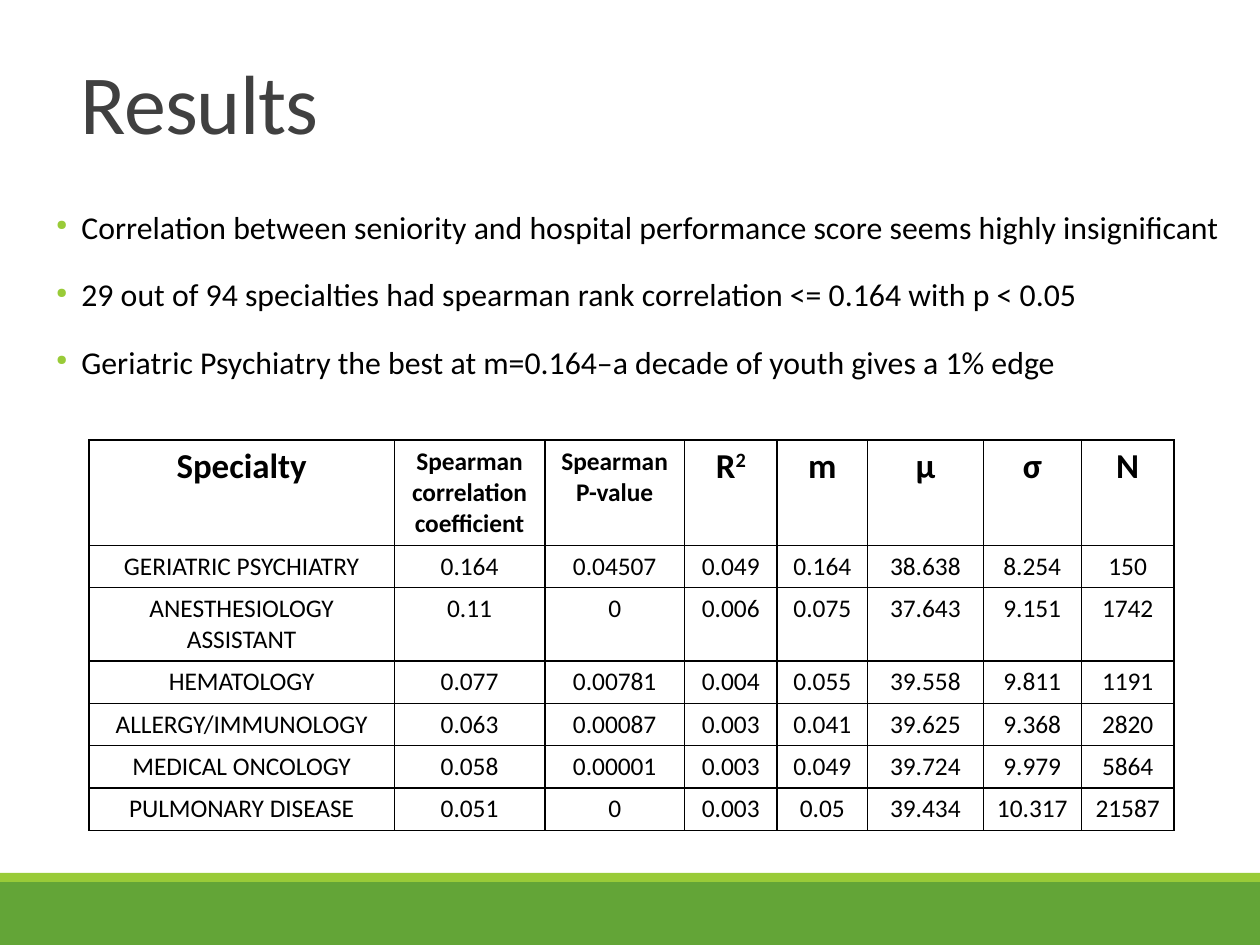
from lxml.etree import SubElement
from pptx import Presentation
from pptx.dml.color import RGBColor
from pptx.enum.shapes import MSO_SHAPE
from pptx.enum.text import MSO_ANCHOR, PP_ALIGN
from pptx.oxml.ns import qn
from pptx.util import Cm, Pt

FONT = "Calibri"
BLACK = RGBColor(0x00, 0x00, 0x00)
GREY = RGBColor(0x40, 0x40, 0x40)
GREEN = RGBColor(0x63, 0xA5, 0x37)
LIME = RGBColor(0x99, 0xCB, 0x38)

POINTS = [
    "Correlation between seniority and hospital performance score seems highly insignificant",
    "29 out of 94 specialties had spearman rank correlation <= 0.164 with p < 0.05",
    "Geriatric Psychiatry the best at m=0.164–a decade of youth gives a 1% edge",
]
HEADS = ["Specialty", "Spearman correlation coefficient", "Spearman\nP-value",
         "R", "m", "μ", "σ", "N"]
ROWS = [
    ["GERIATRIC PSYCHIATRY", "0.164", "0.04507", "0.049", "0.164", "38.638", "8.254", "150"],
    ["ANESTHESIOLOGY ASSISTANT", "0.11", "0", "0.006", "0.075", "37.643", "9.151", "1742"],
    ["HEMATOLOGY", "0.077", "0.00781", "0.004", "0.055", "39.558", "9.811", "1191"],
    ["ALLERGY/IMMUNOLOGY", "0.063", "0.00087", "0.003", "0.041", "39.625", "9.368", "2820"],
    ["MEDICAL ONCOLOGY", "0.058", "0.00001", "0.003", "0.049", "39.724", "9.979", "5864"],
    ["PULMONARY DISEASE", "0.051", "0", "0.003", "0.05", "39.434", "10.317", "21587"],
]
WIDTHS = [6.78, 3.35, 3.1, 2.06, 2.01, 2.57, 2.18, 2.06]
HEIGHTS = [2.34, 0.94, 1.63, 0.94, 0.94, 0.94, 0.94]


def style(para, size, color=BLACK, bold=False):
    font = para.font
    font.name, font.size, font.bold = FONT, Pt(size), bold
    font.color.rgb = color


def add_band(slide, top, height, color):
    band = slide.shapes.add_shape(MSO_SHAPE.RECTANGLE, 0, Cm(top), Cm(28), Cm(height))
    band.shadow.inherit = False
    band.fill.solid()
    band.fill.fore_color.rgb = color
    band.line.fill.background()


def add_box(slide, left, top, width, height):
    box = slide.shapes.add_textbox(Cm(left), Cm(top), Cm(width), Cm(height))
    box.text_frame.word_wrap = True
    return box.text_frame


def add_title(slide, text):
    frame = add_box(slide, 1.55, 0, 25.2, 3.5)
    frame.vertical_anchor = MSO_ANCHOR.BOTTOM
    para = frame.paragraphs[0]
    para.line_spacing = 0.85
    run = para.add_run()
    run.text = text
    run.font._element.set("spc", "-60")
    style(para, 52.9, GREY)


def add_bullet(para):
    props = para._p.get_or_add_pPr()
    props.set("marL", str(Cm(1.17)))
    props.set("indent", str(Cm(-0.56)))
    marks = [("a:buClr", {}), ("a:buSzPct", {"val": "45000"}), ("a:buChar", {"char": "●"})]
    for tag, attrs in marks:
        mark = SubElement(props, qn(tag), attrs)
        if tag == "a:buClr":
            SubElement(mark, qn("a:srgbClr"), val=str(LIME))


def add_points(slide, points):
    frame = add_box(slide, 0.64, 4.06, 26.67, 5.16)
    frame.margin_left = frame.margin_right = 0
    frame.text = "\n".join(points)
    for para in frame.paragraphs:
        para.line_spacing = 1.5
        para.space_before, para.space_after = Pt(2.2), Pt(4.4)
        add_bullet(para)
        style(para, 20)


def add_edges(cell):
    props = cell._tc.get_or_add_tcPr()
    for side in "LRTB":
        line = SubElement(props, qn(f"a:ln{side}"), w=str(Pt(1)))
        fill = SubElement(line, qn("a:solidFill"))
        SubElement(fill, qn("a:srgbClr"), val=str(BLACK))


def fill_cell(cell, text, size, bold):
    cell.text = text
    add_edges(cell)
    cell.fill.background()
    for para in cell.text_frame.paragraphs:
        para.alignment = PP_ALIGN.CENTER
        style(para, size, bold=bold)


def add_grid(slide):
    data = [HEADS] + ROWS
    frame = slide.shapes.add_table(len(data), len(HEADS), Cm(1.98), Cm(9.78),
                                   Cm(sum(WIDTHS)), Cm(sum(HEIGHTS)))
    table = frame.table
    table.first_row = table.horz_banding = False
    for col, width in zip(table.columns, WIDTHS):
        col.width = Cm(width)
    for row, height in zip(table.rows, HEIGHTS):
        row.height = Cm(height)
    for i, texts in enumerate(data):
        for j, text in enumerate(texts):
            head = i == 0
            size = 22 if head and j not in (1, 2) else 16
            fill_cell(table.cell(i, j), text, size, head)
    # Raised 2 of R²
    power = table.cell(0, HEADS.index("R")).text_frame.paragraphs[0].add_run()
    power.text = "2"
    power.font._element.set("baseline", "33000")


def main():
    prs = Presentation()
    prs.slide_width, prs.slide_height = Cm(28), Cm(21)
    slide = prs.slides.add_slide(prs.slide_layouts[6])
    # Footer bands
    add_band(slide, 19.6, 1.4, GREEN)
    add_band(slide, 19.4, 0.2, LIME)
    # Heading, findings and table
    add_title(slide, "Results")
    add_points(slide, POINTS)
    add_grid(slide)
    prs.save("out.pptx")


if __name__ == "__main__":
    main()
